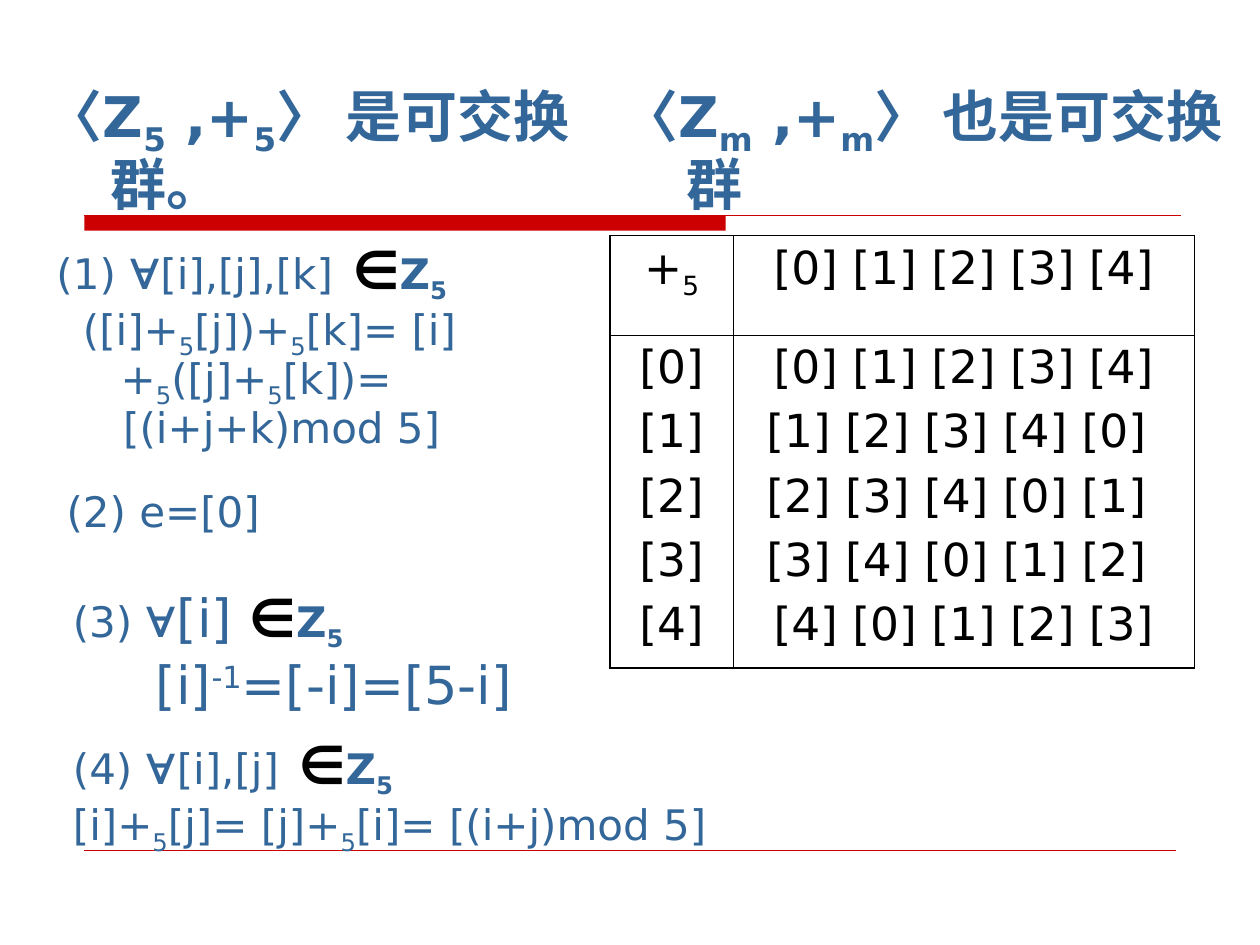
from lxml.etree import SubElement
from pptx import Presentation
from pptx.dml.color import RGBColor
from pptx.enum.shapes import MSO_CONNECTOR, MSO_SHAPE
from pptx.enum.text import MSO_ANCHOR, MSO_AUTO_SIZE, PP_ALIGN
from pptx.oxml.ns import qn
from pptx.util import Inches, Pt

BLUE, RED, BLACK = "336699", "CC0000", "000000"
FONT = "DejaVu Sans"
HANGING = 0.51

# A run is (text, differences from its paragraph's font).
SUB, SUPER = {"baseline": -25}, {"baseline": 30}
BOLD_SUB = {"bold": True, **SUB}
FORALL = ("∀", {"size": 30, "name": "Arial"})
FIVE = ("5", SUB)
IN_Z5 = [("∈", {"size": 30, "bold": True, "color": BLACK}),
         ("Z", {"size": 24, "bold": True}),
         ("5", {"size": 24, **BOLD_SUB})]
WIDE_SPACE = (" ", {"size": 32, "bold": True})


def heading(index, ending):
    return [("〈", {"name": "Arial"}), ("Z", {}), (index, SUB), (" ,+", {}),
            (index, SUB), ("〉 ", {"name": "Arial"}), (ending, {})]


HEADINGS = [
    ((0.27, 0.6, 4.59, 0.79), heading("5", "是可交换群。")),
    ((4.84, 0.6, 5.16, 0.79), heading("m", "也是可交换群")),
]

# Box, line spacing, then paragraphs of (first-line start, size, space before, runs).
PROOF_STEPS = [
    ((0.35, 1.86, 4.1, 1.81), 0.85, [
        (0, 24, 0, [("(1) ", {}), FORALL, ("[i],[j],[k]", {}), WIDE_SPACE, *IN_Z5]),
        (0.21, 24, 3, [("([i]+", {}), FIVE, ("[j])+", {}), FIVE, ("[k]= [i]+", {}), FIVE,
                       ("([j]+", {}), FIVE, ("[k])=", {})]),
        (0.53, 24, 3, [("[(i+j+k)mod 5]", {})]),
    ]),
    ((0.43, 3.83, 3.94, 0.55), 0.95, [
        (0, 24, 0, [("(2) e=[0]", {})]),
    ]),
    ((0.48, 4.6, 3.94, 1.18), 0.95, [
        (0, 24, 0, [("(3) ", {}), FORALL, ("[i] ", {"size": 30}), *IN_Z5]),
        (0.66, 30, 3.7, [("[i]", {}), ("-1", SUPER), ("=[-i]=[5-i]", {})]),
    ]),
    ((0.48, 5.79, 5.71, 1.02), 0.85, [
        (0, 24, 0, [("(4) ", {}), FORALL, ("[i],[j]", {}), WIDE_SPACE, *IN_Z5]),
        (0, 24, 3, [("[i]+", {}), FIVE, ("[j]= [j]+", {}), FIVE,
                    ("[i]= [(i+j)mod 5]", {})]),
    ]),
]

TABLE_BOX = (4.84, 1.87, 4.65, 3.43)
COLUMN_WIDTHS = [0.98, 3.66]
ROW_HEIGHTS = [0.79, 2.64]
TABLE_CELLS = [
    [[[("+", {}), FIVE]], [[("[0] [1] [2] [3] [4]", {})]]],
    [[[(f"[{number}]", {})] for number in range(5)],
     [[(row, {})] for row in ("[0] [1] [2] [3] [4]", "[1] [2] [3] [4] [0] ",
                              "[2] [3] [4] [0] [1] ", "[3] [4] [0] [1] [2] ",
                              "[4] [0] [1] [2] [3]")]],
]


def rgb(color):
    return RGBColor.from_string(color)


def set_font(font, size=None, name=None, color=None, bold=None, baseline=None):
    if size:
        font.size = Pt(size)
    if name:
        font.name = name
    if color:
        font.color.rgb = rgb(color)
    if bold is not None:
        font.bold = bold
    if baseline:
        font._element.set("baseline", str(baseline * 1000))


def fill_paragraph(paragraph, runs, space_before=0, **base):
    paragraph.space_before = Pt(space_before)
    set_font(paragraph.font, name=FONT, **base)
    for text, differences in runs:
        run = paragraph.add_run()
        run.text = text
        set_font(run.font, **{"name": FONT, **base, **differences})


def paragraph_at(text_frame, index):
    return text_frame.add_paragraph() if index else text_frame.paragraphs[0]


def hang(paragraph, first_line, line_spacing):
    paragraph.alignment = PP_ALIGN.LEFT
    paragraph.line_spacing = line_spacing
    properties = paragraph._p.get_or_add_pPr()
    properties.set("marL", str(Inches(HANGING)))
    properties.set("indent", str(Inches(first_line - HANGING)))


def place(shape, box):
    shape.left, shape.top, shape.width, shape.height = map(Inches, box)
    text_frame = shape.text_frame
    text_frame.word_wrap = True
    text_frame.auto_size = MSO_AUTO_SIZE.NONE
    text_frame.vertical_anchor = MSO_ANCHOR.TOP
    return text_frame


def add_textbox(slide, box):
    return place(slide.shapes.add_textbox(0, 0, 0, 0), box)


def add_rule(slide, left, right, y, width):
    rule = slide.shapes.add_connector(
        MSO_CONNECTOR.STRAIGHT, Inches(left), Inches(y), Inches(right), Inches(y))
    rule.line.color.rgb = rgb(RED)
    rule.line.width = Pt(width)
    SubElement(rule._element.spPr, qn("a:effectLst"))


def set_borders(cell, widths):
    """Draw the left, right, top and bottom borders, in that order."""
    properties = cell._tc.get_or_add_tcPr()
    for position, (side, width) in enumerate(zip("LRTB", widths)):
        border = properties.makeelement(qn(f"a:ln{side}"), {"w": str(Pt(width))})
        fill = SubElement(border, qn("a:solidFill"))
        SubElement(fill, qn("a:srgbClr"), val=BLACK)
        properties.insert(position, border)


def add_operation_table(slide):
    table = slide.shapes.add_table(2, 2, *map(Inches, TABLE_BOX)).table
    table.first_row = table.horz_banding = False
    for column, width in zip(table.columns, COLUMN_WIDTHS):
        column.width = Inches(width)
    for row, height in zip(table.rows, ROW_HEIGHTS):
        row.height = Inches(height)
    outer, inner = 1.08, 0.45
    for i, row in enumerate(TABLE_CELLS):
        for j, lines in enumerate(row):
            cell = table.cell(i, j)
            cell.fill.background()
            set_borders(cell, [inner if j else outer, outer if j else inner,
                               inner if i else outer, outer if i else inner])
            for index, runs in enumerate(lines):
                paragraph = paragraph_at(cell.text_frame, index)
                paragraph.alignment = PP_ALIGN.CENTER
                fill_paragraph(paragraph, runs, 6.5 if index else 0, size=26, color=BLACK)


def main():
    presentation = Presentation()
    presentation.slide_width, presentation.slide_height = Inches(10), Inches(7.5)
    slide = presentation.slides.add_slide(presentation.slide_layouts[5])

    bar = slide.shapes.add_shape(
        MSO_SHAPE.RECTANGLE, Inches(0.67), Inches(1.71), Inches(5.09), Inches(0.12))
    bar.shadow.inherit = False
    bar.fill.solid()
    bar.fill.fore_color.rgb = rgb(RED)
    bar.line.fill.background()
    add_rule(slide, 0.67, 9.37, 1.71, 0.75)
    add_rule(slide, 0.67, 9.33, 6.75, 0.25)

    (title_box, title_runs), (side_box, side_runs) = HEADINGS
    for text_frame, runs in [(place(slide.shapes.title, title_box), title_runs),
                             (add_textbox(slide, side_box), side_runs)]:
        paragraph = text_frame.paragraphs[0]
        hang(paragraph, 0, 0.95)
        fill_paragraph(paragraph, runs, size=32, color=BLUE, bold=True)

    add_operation_table(slide)

    for box, line_spacing, paragraphs in PROOF_STEPS:
        text_frame = add_textbox(slide, box)
        for index, (first_line, size, space_before, runs) in enumerate(paragraphs):
            paragraph = paragraph_at(text_frame, index)
            hang(paragraph, first_line, line_spacing)
            fill_paragraph(paragraph, runs, space_before, size=size, color=BLUE)

    presentation.save("out.pptx")


if __name__ == "__main__":
    main()
